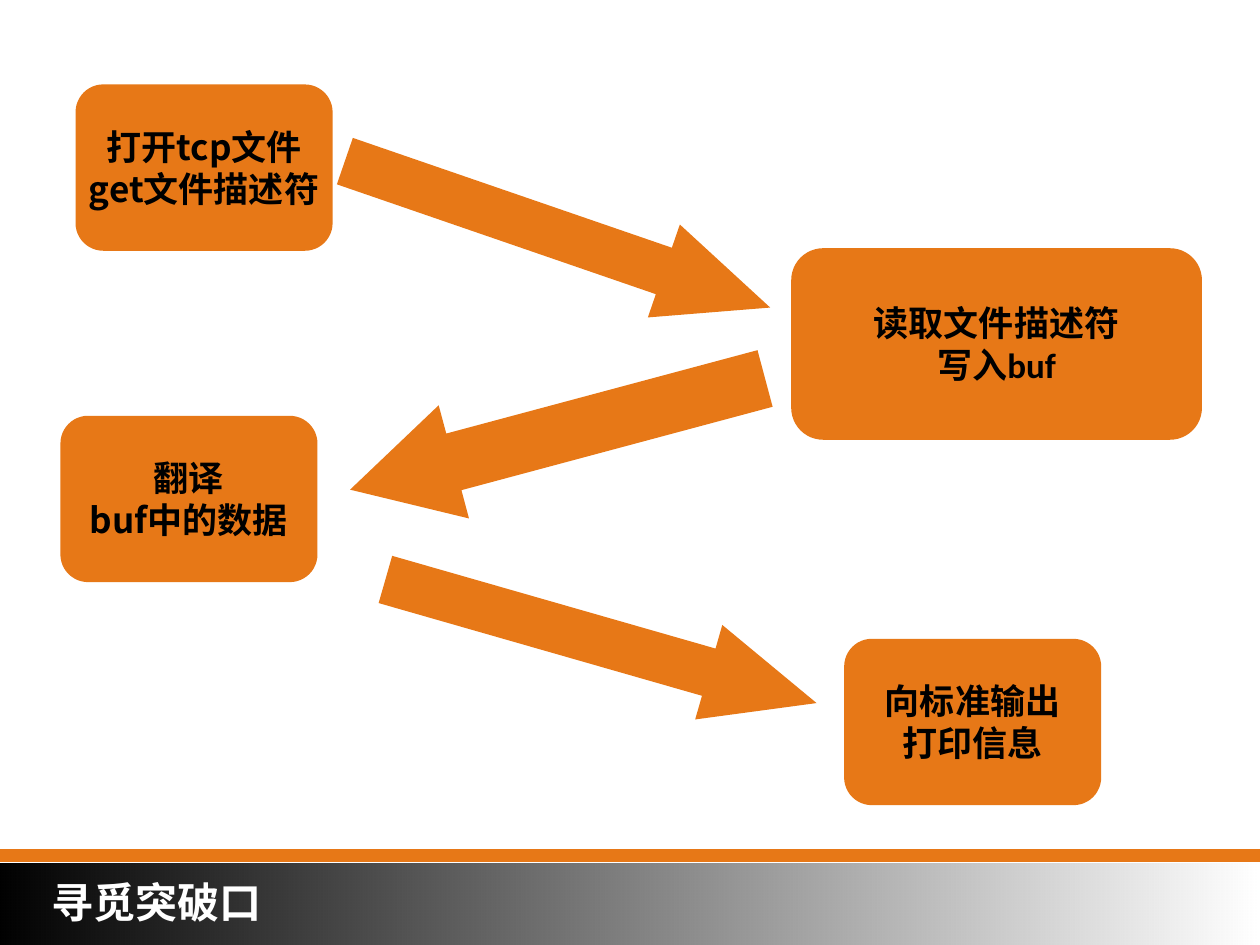
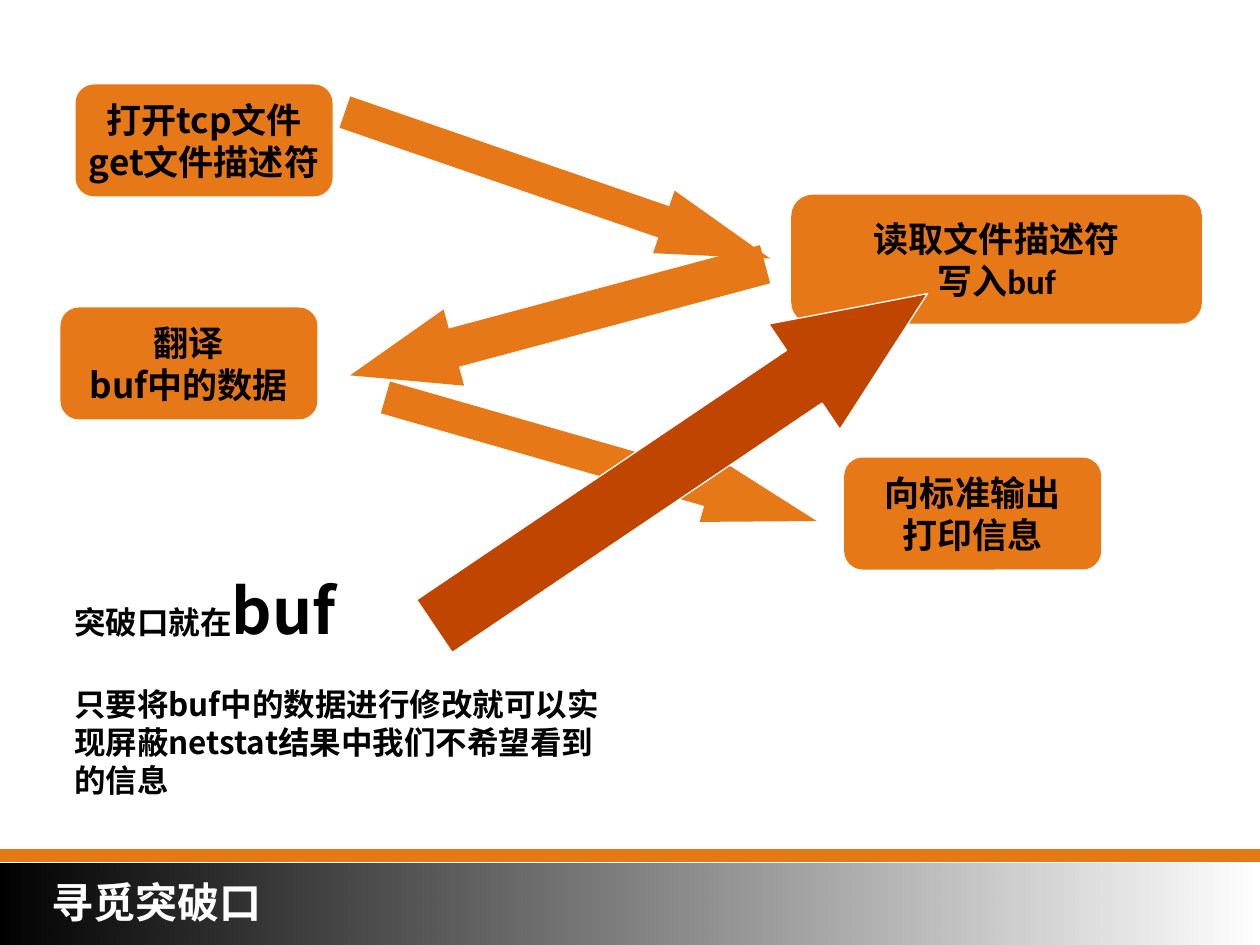
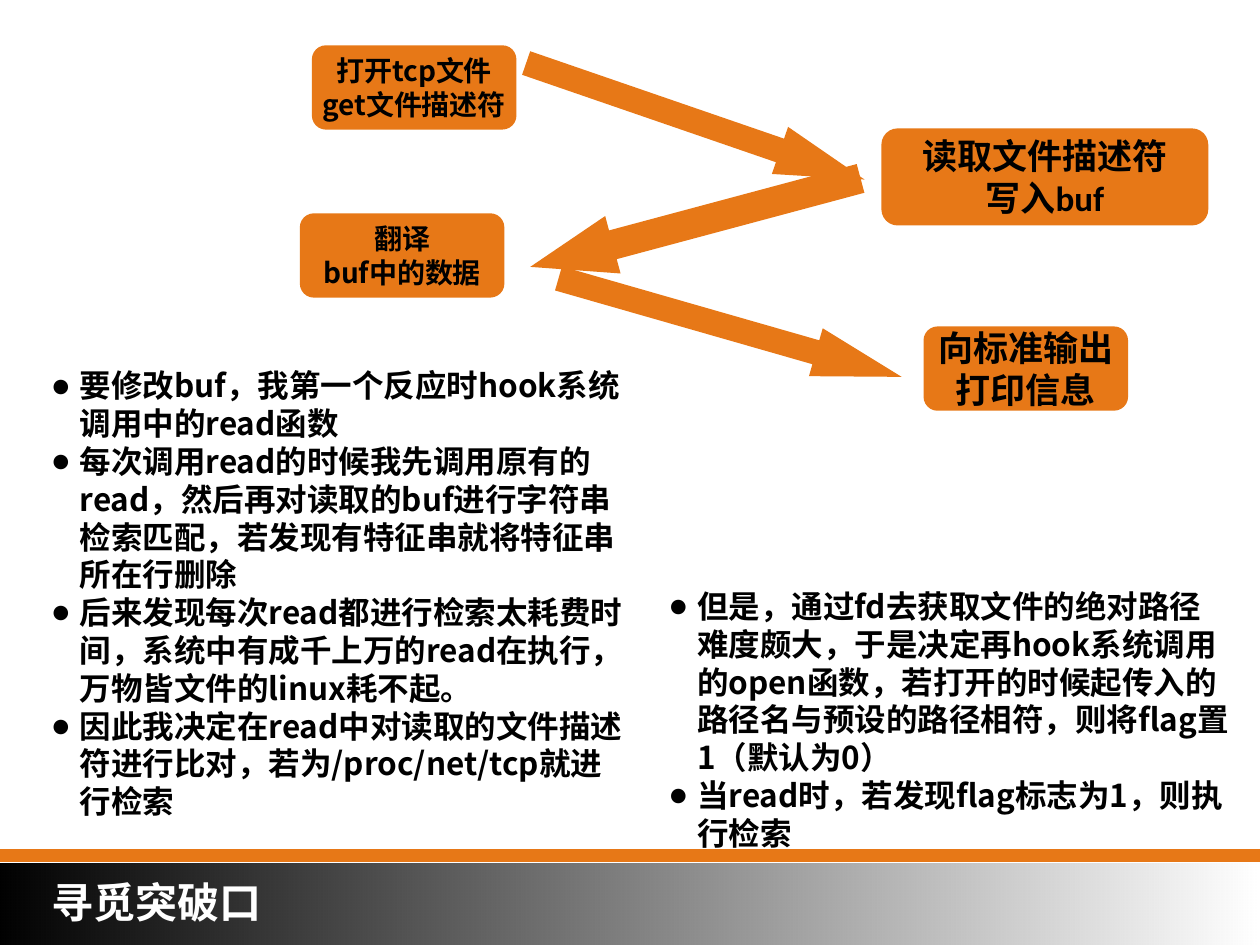
"""Build three slides that trace how netstat reads tcp data through buf."""
import dataclasses

import pptx
import pptx.dml.color
import pptx.enum.shapes
import pptx.enum.text
import pptx.oxml.ns
import pptx.util
from lxml import etree

SHAPES = pptx.enum.shapes.MSO_SHAPE
ALIGN = pptx.enum.text.PP_ALIGN
ANCHOR = pptx.enum.text.MSO_ANCHOR
qn = pptx.oxml.ns.qn


@dataclasses.dataclass(frozen=True)
class Theme:
    """Colours, fonts, type sizes and shared proportions."""
    orange: str = "E77817"
    rust: str = "C04500"
    black: str = "000000"
    white: str = "FFFFFF"
    latin_font: str = "Calibri"
    chinese_font: str = "Noto Sans CJK SC"
    title_size: int = 24
    node_size: int = 20
    small_node_size: int = 16
    body_size: int = 18
    accent_size: int = 36
    line_height: float = 1.2
    arrow_head: float = 0.25
    bullet_indent: float = 2.25


THEME = Theme()
COLUMNS, ROWS = 100, 75
SLIDE_WIDTH, SLIDE_HEIGHT = pptx.util.Inches(10), pptx.util.Inches(7.5)
TITLE = "寻觅突破口"
TITLE_BOX = (3.1, 69.1, 21.2, 5)
FLOW_FRAME = (4.8, 6.7, 90.6, 57.2)

FLOW_NODES = [
    ((6, 6.7, 20.4, 13.2), ["打开tcp文件", "get文件描述符"], THEME.chinese_font),
    ((62.8, 19.7, 32.6, 15.2), ["读取文件描述符", "写入buf"], THEME.latin_font),
    ((4.8, 33, 20.4, 13.2), ["翻译", "buf中的数据"], THEME.chinese_font),
    ((67, 50.7, 20.4, 13.2), ["向标准输出", "打印信息"], THEME.chinese_font),
]
FLOW_ARROWS = [
    ((26.4, 14.7, 35.7, 7.8), 19),
    ((27.2, 29.8, 34.1, 9.3), 165),
    ((29.9, 47, 35.6, 7.8), 16),
]

READ_HOOK_POINTS = [
    "要修改buf，我第一个反应时hook系统调用中的read函数",
    "每次调用read的时候我先调用原有的read，然后再对读取的buf进行字符串检索匹配，"
    "若发现有特征串就将特征串所在行删除",
    "后来发现每次read都进行检索太耗费时间，系统中有成千上万的read在执行，"
    "万物皆文件的linux耗不起。",
    "因此我决定在read中对读取的文件描述符进行比对，若为/proc/net/tcp就进行检索",
]
OPEN_HOOK_POINTS = [
    "但是，通过fd去获取文件的绝对路径难度颇大，于是决定再hook系统调用的open函数，"
    "若打开的时候起传入的路径名与预设的路径相符，则将flag置1（默认为0）",
    "当read时，若发现flag标志为1，则执行检索",
]


def color(value):
    """Return a colour from its hex digits."""
    return pptx.dml.color.RGBColor.from_string(value)


def place(box):
    """Turn a box in grid columns and rows into slide lengths."""
    left, top, width, height = box
    column, row = SLIDE_WIDTH / COLUMNS, SLIDE_HEIGHT / ROWS
    return [round(length) for length in
            (left * column, top * row, width * column, height * row)]


def fit(box, frame):
    """Scale a box of the flow into another frame."""
    across, down = frame[2] / FLOW_FRAME[2], frame[3] / FLOW_FRAME[3]
    return (frame[0] + (box[0] - FLOW_FRAME[0]) * across,
            frame[1] + (box[1] - FLOW_FRAME[1]) * down,
            box[2] * across, box[3] * down)


def add_run(paragraph, text, size, font=THEME.chinese_font, ink=THEME.black):
    """Add one bold run."""
    run = paragraph.add_run()
    run.text = text
    run.font.size = pptx.util.Pt(size)
    run.font.bold = True
    run.font.color.rgb = color(ink)
    run.font.name = font
    east_asian = etree.SubElement(run.font._element, qn("a:ea"))
    east_asian.set("typeface", THEME.chinese_font)


def add_paragraph(frame, size, align=ALIGN.LEFT):
    """Return the next paragraph of a frame with even line spacing."""
    first = frame.paragraphs[0]
    paragraph = frame.add_paragraph() if first.runs else first
    paragraph.alignment = align
    paragraph.line_spacing = pptx.util.Pt(size * THEME.line_height)
    return paragraph


def add_block(slide, kind, box, fill):
    """Add a flat preset shape without a line."""
    shape = slide.shapes.add_shape(kind, *place(box))
    shape.shadow.inherit = False
    shape.fill.solid()
    shape.fill.fore_color.rgb = color(fill)
    shape.line.fill.background()
    return shape


def add_arrow(slide, box, rotation, kind=SHAPES.RIGHT_ARROW, fill=THEME.orange):
    """Add a turned arrow whose head is a fixed share of its length."""
    arrow = add_block(slide, kind, box, fill)
    arrow.rotation = rotation
    arrow.adjustments[0] = 0.5
    arrow.adjustments[1] = THEME.arrow_head * max(box[2:]) / min(box[2:])
    return arrow


def add_node(slide, box, lines, font, size):
    """Add a rounded step of the flow with centred lines."""
    node = add_block(slide, SHAPES.ROUNDED_RECTANGLE, box, THEME.orange)
    frame = node.text_frame
    frame.word_wrap = False
    frame.vertical_anchor = ANCHOR.MIDDLE
    for line in lines:
        add_run(add_paragraph(frame, size, ALIGN.CENTER), line, size, font)


def add_flow(slide, frame=FLOW_FRAME, left_size=THEME.node_size):
    """Draw the four steps and their arrows inside a frame."""
    for index, (box, lines, font) in enumerate(FLOW_NODES):
        size = left_size if index in (0, 2) else THEME.node_size
        add_node(slide, fit(box, frame), lines, font, size)
    for box, rotation in FLOW_ARROWS:
        add_arrow(slide, fit(box, frame), rotation)


def add_text_frame(slide, box):
    """Add a wrapping text box and return its frame."""
    frame = slide.shapes.add_textbox(*place(box)).text_frame
    frame.word_wrap = True
    return frame


def add_bullets(slide, box, points):
    """Add a bulleted list."""
    frame = add_text_frame(slide, box)
    indent = place((THEME.bullet_indent, 0, 0, 0))[0]
    for point in points:
        paragraph = add_paragraph(frame, THEME.body_size)
        properties = paragraph._p.get_or_add_pPr()
        properties.set("marL", str(indent))
        properties.set("indent", str(-indent))
        bullet_color = etree.SubElement(properties, qn("a:buClr"))
        etree.SubElement(bullet_color, qn("a:srgbClr")).set("val", THEME.black)
        etree.SubElement(properties, qn("a:buFont")).set("typeface", THEME.latin_font)
        etree.SubElement(properties, qn("a:buChar")).set("char", "●")
        add_run(paragraph, point, THEME.body_size)


def add_bands(slide):
    """Put the orange rule and the fading title band on the slide's layout."""
    rule = add_block(slide, SHAPES.RECTANGLE, (0, 67.4, COLUMNS, 1), THEME.orange)
    band = add_block(slide, SHAPES.RECTANGLE, (0, 68.5, COLUMNS, 6.9), THEME.black)
    band.fill.gradient()
    band.fill.gradient_angle = 180
    for stop in band.fill.gradient_stops:
        stop.color.rgb = color(THEME.black)
    clear_color = band.element.spPr.find(".//" + qn("a:srgbClr"))
    etree.SubElement(clear_color, qn("a:alpha")).set("val", "0")
    for shape in (rule, band):
        slide.slide_layout.shapes.element.append(shape.element)


def add_slide(presentation):
    """Add a slide with its title on the lower band."""
    slide = presentation.slides.add_slide(presentation.slide_layouts[5])
    title = slide.shapes.title
    title.left, title.top, title.width, title.height = place(TITLE_BOX)
    title.text_frame.vertical_anchor = ANCHOR.MIDDLE
    paragraph = add_paragraph(title.text_frame, THEME.title_size)
    add_run(paragraph, TITLE, THEME.title_size, THEME.latin_font, THEME.white)
    return slide


def build_flow_slide(presentation):
    """Show the whole flow and set up the shared bands."""
    slide = add_slide(presentation)
    add_bands(slide)
    add_flow(slide)


def build_breakthrough_slide(presentation):
    """Point at buf as the place to break in."""
    slide = add_slide(presentation)
    add_flow(slide, (4.8, 6.7, 90.6, 38.5))
    pointer = add_arrow(slide, (49, 12.9, 10.1, 47.2), 56, SHAPES.UP_ARROW, THEME.rust)
    pointer.line.color.rgb = color(THEME.white)
    pointer.line.width = pptx.util.Pt(0.75)
    frame = add_text_frame(slide, (4.9, 44.9, 45.3, 19))
    headline = add_paragraph(frame, THEME.accent_size)
    add_run(headline, "突破口就在", THEME.body_size)
    add_run(headline, "buf", THEME.accent_size)
    detail = add_paragraph(frame, THEME.body_size)
    detail.space_before = pptx.util.Pt(THEME.body_size * THEME.line_height)
    add_run(detail, "只要将buf中的数据进行修改就可以实现屏蔽netstat结果中我们不希望看到的信息",
            THEME.body_size)


def build_hook_slide(presentation):
    """Explain the read and open hooks beside a smaller flow."""
    slide = add_slide(presentation)
    add_flow(slide, (23.8, 3.6, 72.1, 29), THEME.small_node_size)
    add_bullets(slide, (3.1, 28.6, 47.7, 40), READ_HOOK_POINTS)
    add_bullets(slide, (52.1, 46.1, 46.6, 22), OPEN_HOOK_POINTS)


def main():
    """Build and save the presentation."""
    presentation = pptx.Presentation()
    presentation.slide_width, presentation.slide_height = SLIDE_WIDTH, SLIDE_HEIGHT
    build_flow_slide(presentation)
    build_breakthrough_slide(presentation)
    build_hook_slide(presentation)
    presentation.save("out.pptx")


if __name__ == "__main__":
    main()
